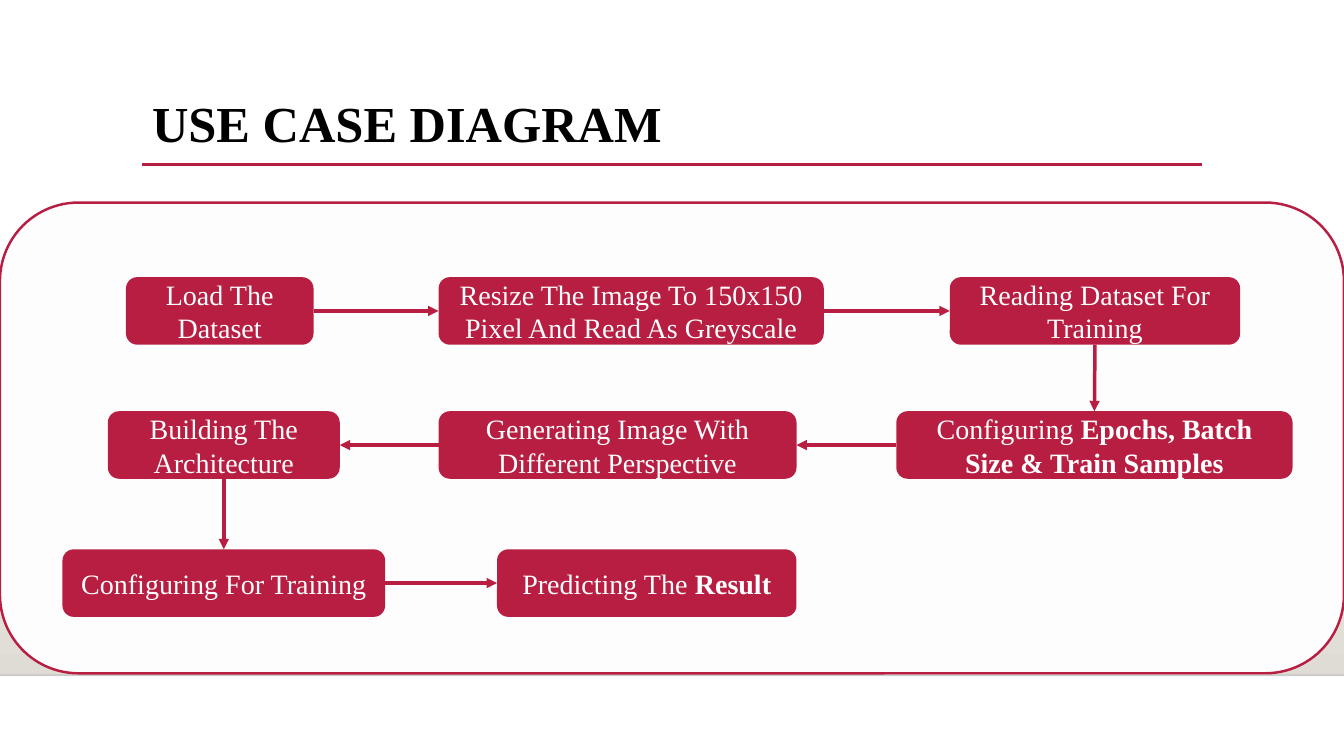
from lxml import etree
from pptx import Presentation
from pptx.dml.color import RGBColor
from pptx.enum import shapes, text
from pptx.oxml.ns import qn
from pptx.util import Inches, Pt

RED = RGBColor(0xB7, 0x1E, 0x42)
WHITE = RGBColor(0xFF, 0xFF, 0xFF)
PALE = RGBColor(0xFD, 0xFD, 0xFD)
SAND = RGBColor(0xDF, 0xDB, 0xD5)
BLACK = RGBColor(0, 0, 0)
FONT = "Times New Roman"
WIDE, HIGH = 13.33, 7.5
TOP, LEFT, BASE, RIGHT = range(4)
ROWS = (0.74, 2.07, 3.44)
STEP = 0.67

STEPS = {
    "load": (1.25, 0, 1.86, "Load The Dataset", ""),
    "size": (4.35, 0, 3.82, "Resize The Image To 150x150 Pixel And Read As Greyscale", ""),
    "read": (9.42, 0, 2.88, "Reading Dataset For Training", ""),
    "set": (8.89, 1, 3.93, "Configuring ", "Epochs, Batch Size & Train Samples"),
    "make": (4.35, 1, 3.55, "Generating Image With Different Perspective", ""),
    "build": (1.07, 1, 2.3, "Building The Architecture", ""),
    "train": (0.62, 2, 3.2, "Configuring For Training", ""),
    "guess": (4.93, 2, 2.97, "Predicting The ", "Result"),
}
LINKS = (
    ("load", RIGHT, "size", LEFT),
    ("size", RIGHT, "read", LEFT),
    ("read", BASE, "set", TOP),
    ("set", LEFT, "make", RIGHT),
    ("make", LEFT, "build", RIGHT),
    ("build", BASE, "train", TOP),
    ("train", RIGHT, "guess", LEFT),
)


def add_run(para, words, size, color, bold=False):
    """Add one styled run to a paragraph."""
    run = para.add_run()
    run.text = words
    run.font.name = FONT
    run.font.size = Pt(size)
    run.font.bold = bold
    run.font.color.rgb = color


def add_box(slide, kind, x, y, w, h, fill=None):
    """Add a flat shape with no outline."""
    box = slide.shapes.add_shape(kind, Inches(x), Inches(y), Inches(w), Inches(h))
    box.shadow.inherit = False
    box.line.fill.background()
    if fill is not None:
        box.fill.solid()
        box.fill.fore_color.rgb = fill
    return box


def add_line(slide, x1, y1, x2, y2, color=RED, width=2.5):
    """Add a straight line without a shadow."""
    line = slide.shapes.add_connector(
        shapes.MSO_CONNECTOR.STRAIGHT, Inches(x1), Inches(y1), Inches(x2), Inches(y2))
    line.line.color.rgb = color
    line.line.width = Pt(width)
    etree.SubElement(line._element.spPr, qn("a:effectLst"))
    return line


def add_floor(slide, x, y, w, h):
    """Draw the shaded backdrop and the faint line under it."""
    floor = add_box(slide, shapes.MSO_SHAPE.RECTANGLE, x, y, w, h)
    floor.fill.gradient()
    floor.fill.gradient_angle = 270
    for stop, color in zip(floor.fill.gradient_stops, (WHITE, SAND)):
        stop.color.rgb = color
    edge = add_line(slide, x, y + h, x + w, y + h, BLACK, 1)
    tint = edge._element.spPr.find(".//" + qn("a:srgbClr"))
    etree.SubElement(tint, qn("a:alpha"), val="20000")


def add_title(slide, x, y, w, h):
    """Write the heading and rule it off below."""
    add_line(slide, x, y + h, x + w, y + h)
    frame = slide.shapes.add_textbox(Inches(x), Inches(y), Inches(w), Inches(h)).text_frame
    frame.word_wrap = True
    frame.vertical_anchor = text.MSO_ANCHOR.MIDDLE
    para = frame.paragraphs[0]
    para.line_spacing = 0.9
    add_run(para, "USE CASE DIAGRAM", 36, BLACK, True)


def add_step(slide, x, y, w, h, plain, strong):
    """Draw one step of the flow with its label."""
    box = add_box(slide, shapes.MSO_SHAPE.ROUNDED_RECTANGLE, x, y, w, h, RED)
    frame = box.text_frame
    frame.word_wrap = True
    frame.vertical_anchor = text.MSO_ANCHOR.MIDDLE
    para = frame.paragraphs[0]
    para.alignment = text.PP_ALIGN.CENTER
    add_run(para, plain, 20, WHITE)
    if strong:
        add_run(para, strong, 20, WHITE, True)
    return box


def add_arrow(slide, start, out, end, into):
    """Join two steps with an arrow."""
    arrow = add_line(slide, 0, 0, 0, 0)
    arrow.begin_connect(start, out)
    arrow.end_connect(end, into)
    etree.SubElement(arrow.line._get_or_add_ln(), qn("a:tailEnd"), type="triangle")


def add_flow(slide, x, y, w, h):
    """Draw the framed panel with its steps and arrows."""
    panel = add_box(slide, shapes.MSO_SHAPE.ROUNDED_RECTANGLE, x, y, w, h, PALE)
    panel.line.color.rgb = RED
    panel.line.width = Pt(1.75)
    boxes = {
        name: add_step(slide, x + left, y + ROWS[row], width, STEP, plain, strong)
        for name, (left, row, width, plain, strong) in STEPS.items()
    }
    for start, out, end, into in LINKS:
        add_arrow(slide, boxes[start], out, boxes[end], into)


def main():
    """Build the slide and save it."""
    deck = Presentation()
    deck.slide_width, deck.slide_height = Inches(WIDE), Inches(HIGH)
    slide = deck.slides.add_slide(deck.slide_layouts[6])
    add_floor(slide, 0, 2.21, WIDE, 4.49)
    add_title(slide, 1.41, 0.88, 10.51, 0.75)
    add_flow(slide, 0, 2.01, WIDE, 4.67)
    deck.save("out.pptx")


if __name__ == "__main__":
    main()
